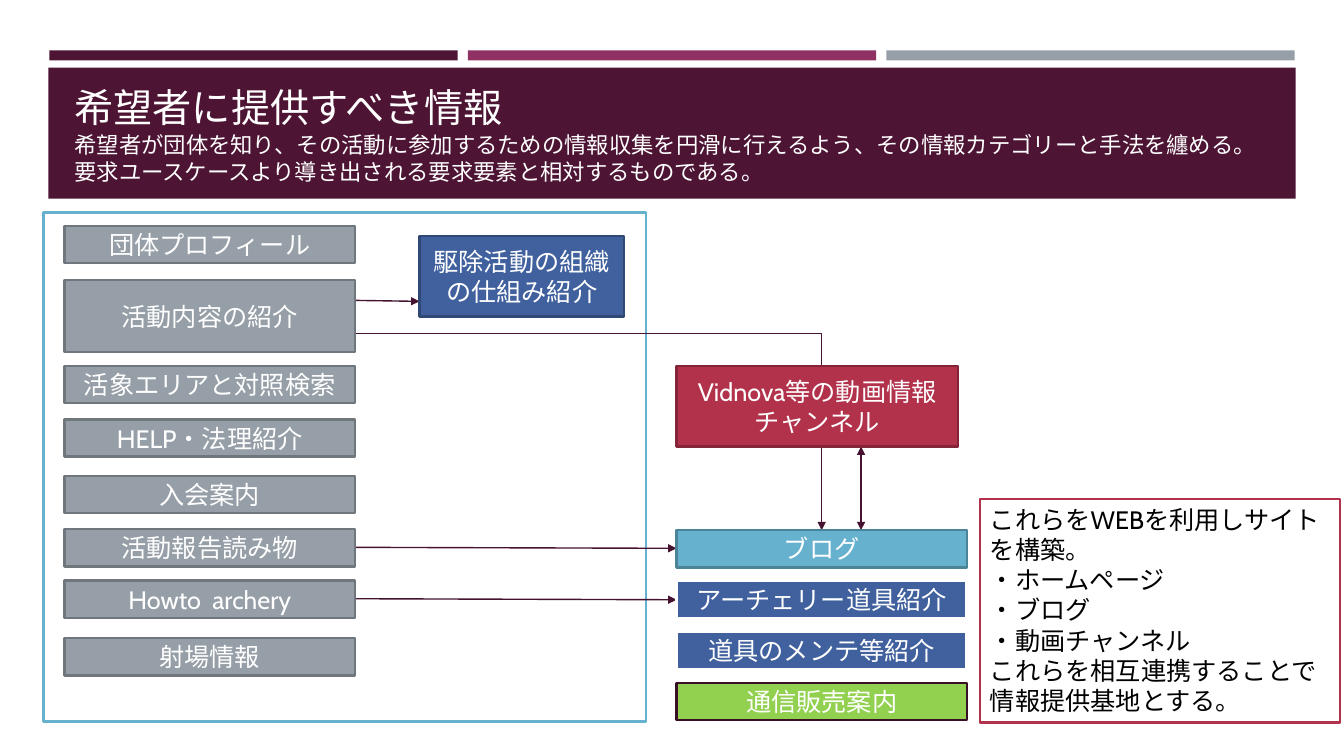
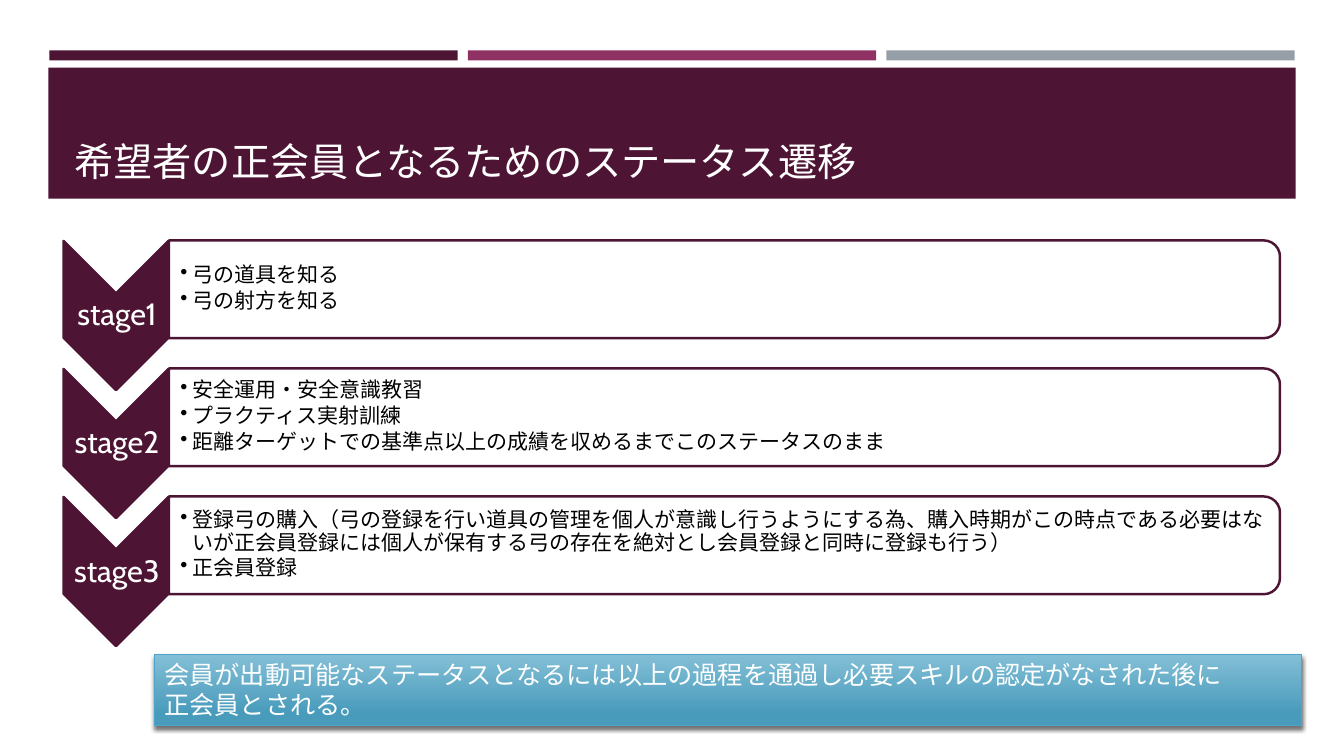
from lxml.etree import SubElement
from pptx import Presentation
from pptx.dml.color import RGBColor
from pptx.enum.shapes import MSO_CONNECTOR as CONNECTOR, MSO_SHAPE as SHAPE
from pptx.enum.text import MSO_ANCHOR as ANCHOR, PP_ALIGN as ALIGN
from pptx.oxml.ns import qn
from pptx.util import Inches, Pt

FONT = "Cabin"
COLORS = {
    "plum": "4D1434", "magenta": "903163", "gray": "969FA7", "gray_edge": "6F767C",
    "sky": "66B1CE", "sky_edge": "4B8398", "blue": "40619D", "blue_edge": "2F4874",
    "red": "B2324B", "red_edge": "842537", "green": "92D050", "green_edge": "390F26",
    "arrow": "45122F", "white": "FFFFFF", "black": "000000",
    "bar_top": "84BFD7", "bar_bottom": "489BBB", "bar_edge": "4FA5C7",
}
RGB = {name: RGBColor.from_string(value) for name, value in COLORS.items()}


def add_box(slide, place, fill=None, edge=None, width=1.75, kind=SHAPE.RECTANGLE):
    """Add a shape at (left, top, width, height) inches; no fill name means no fill."""
    shape = slide.shapes.add_shape(kind, *map(Inches, place))
    shape.shadow.inherit = False
    if fill:
        shape.fill.solid()
        shape.fill.fore_color.rgb = RGB[fill]
    else:
        shape.fill.background()
    if edge:
        shape.line.color.rgb = RGB[edge]
        shape.line.width = Pt(width)
    else:
        shape.line.fill.background()
    return shape


def write(shape, text, size=18, color="white", align=ALIGN.CENTER,
          anchor=ANCHOR.MIDDLE, spacing=None, insets=None):
    """Fill a shape with text in one style and return its text frame."""
    frame = shape.text_frame
    frame.text = text
    frame.word_wrap = True
    frame.vertical_anchor = anchor
    if insets:
        (frame.margin_left, frame.margin_top,
         frame.margin_right, frame.margin_bottom) = map(Inches, insets)
    for paragraph in frame.paragraphs:
        paragraph.alignment = align
        if spacing:
            paragraph.line_spacing = spacing
        for run in paragraph.runs:
            run.font.name = FONT
            run.font.size = Pt(size)
            run.font.color.rgb = RGB[color]
    return frame


presentation = Presentation()
presentation.slide_width = Inches(13.33)
presentation.slide_height = Inches(7.5)

# Shared header: three strips above a title band
titles = [
    "希望者に提供すべき情報\v希望者が団体を知り、その活動に参加するための情報収集を円滑に"
    "行えるよう、その情報カテゴリーと手法を纏める。"
    "要求ユースケースより導き出される要求要素と相対するものである。",
    "希望者の正会員となるためのステータス遷移",
]
slides = []
for title in titles:
    slide = presentation.slides.add_slide(presentation.slide_layouts[6])
    for column, color in enumerate(("plum", "magenta", "gray")):
        add_box(slide, (0.49 + 4.15 * column, 0.5, 4.05, 0.1), color)
    add_box(slide, (0.48, 0.67, 12.37, 1.3), "plum")
    title_box = slide.shapes.add_textbox(*map(Inches, (0.64, 0.77, 12.06, 1.11)))
    frame = write(title_box, title, 28, align=ALIGN.LEFT, anchor=ANCHOR.BOTTOM)
    for subtitle_run in frame.paragraphs[0].runs[1:]:
        subtitle_run.font.size = Pt(16)
    slides.append(slide)
information_slide, status_slide = slides

# Slide 1: information categories and their channels
LEFT, RIGHT, BOX_WIDTH, BOX_HEIGHT = 0.64, 6.71, 2.88, 0.37
add_box(information_slide, (0.43, 2.11, 5.98, 5.05), "white", "sky")

# start x, start y, end x, end y, arrow ends
arrows = [
    (3.52, 5.43, RIGHT, 5.44, ("tailEnd",)),
    (3.52, 5.94, RIGHT, 5.95, ("tailEnd",)),
    (3.52, 2.98, 4.16, 2.99, ("tailEnd",)),
    (8.54, 4.43, 8.54, 5.26, ("headEnd", "tailEnd")),
    (3.52, 3.31, 8.15, 5.26, ("tailEnd",)),
]
for *ends, heads in arrows:
    bent = ends[0] != ends[2] and ends[3] - ends[1] > 1
    connector = information_slide.shapes.add_connector(
        CONNECTOR.ELBOW if bent else CONNECTOR.STRAIGHT, *map(Inches, ends))
    connector.line.color.rgb = RGB["arrow"]
    connector.line.width = Pt(1)
    properties = connector.element.spPr
    if bent:
        properties.find(qn("a:prstGeom")).set("prst", "bentConnector2")
    for head in heads:
        SubElement(properties.find(qn("a:ln")), qn("a:" + head), type="triangle")
    SubElement(properties, qn("a:effectLst"))

categories = [
    ("団体プロフィール", 2.24), ("活動内容の紹介", 2.78), ("活象エリアと対照検索", 3.63),
    ("HELP・法理紹介", 4.16), ("入会案内", 4.72), ("活動報告読み物", 5.25),
    ("Howto  archery", 5.76), ("射場情報", 6.33),
]
for label, top in categories:
    height = 0.71 if label == "活動内容の紹介" else BOX_HEIGHT
    box = add_box(information_slide, (LEFT, top, BOX_WIDTH, height), "gray", "gray_edge",
                  kind=SHAPE.FLOWCHART_PROCESS)
    write(box, label)

channels = [
    ("ブログ", "sky", "sky_edge", 1.75),
    ("アーチェリー道具紹介", "blue", "white", 2),
    ("道具のメンテ等紹介", "blue", "white", 2),
    ("通信販売案内", "green", "green_edge", 1.75),
]
for row, (label, fill, edge, width) in enumerate(channels):
    place = (RIGHT, 5.26 + 0.505 * row, BOX_WIDTH, BOX_HEIGHT)
    write(add_box(information_slide, place, fill, edge, width, SHAPE.FLOWCHART_PROCESS), label)

for label, place, color in [
    ("Vidnova等の動画情報チャンネル", (RIGHT, 3.63, 2.79, 0.8), "red"),
    ("駆除活動の組織の仕組み紹介", (4.16, 2.34, 2.03, 0.8), "blue"),
]:
    box = add_box(information_slide, place, color, color + "_edge",
                  kind=SHAPE.FLOWCHART_PROCESS)
    write(box, label)

summary = add_box(information_slide, (9.72, 4.95, 3.57, 2.22), "white", "red")
write(summary, "これらをWEBを利用しサイトを構築。\n・ホームページ\n・ブログ\n・動画チャンネル\n"
      "これらを相互連携することで\n情報提供基地とする。",
      color="black", align=ALIGN.LEFT, anchor=ANCHOR.TOP)

# Slide 2: stages towards full membership
stages = [
    "弓の道具を知る\n弓の射方を知る",
    "安全運用・安全意識教習\nプラクティス実射訓練\n"
    "距離ターゲットでの基準点以上の成績を収めるまでこのステータスのまま",
    "登録弓の購入（弓の登録を行い道具の管理を個人が意識し行うようにする為、"
    "購入時期がこの時点である必要はないが正会員登録には個人が保有する弓の存在を"
    "絶対とし会員登録と同時に登録も行う）\n正会員登録",
]
for number, steps in enumerate(stages):
    top = 2.38 + 1.27 * number
    chevron = add_box(status_slide, (0.41, top + 0.23, 1.48, 1.04), "plum", "plum",
                      kind=SHAPE.CHEVRON)
    panel = add_box(status_slide, (6.7, top - 5.02, 0.97, 11.02), "white", "plum",
                    kind=SHAPE.ROUND_2_SAME_RECTANGLE)
    chevron.rotation = panel.rotation = 90

    label_box = status_slide.shapes.add_textbox(
        *map(Inches, (0.64, top + 0.53, 1.04, 0.45)))
    write(label_box, f"stage{number + 1}", 22, spacing=0.9, insets=[0.02] * 4)

    steps_box = status_slide.shapes.add_textbox(
        *map(Inches, (1.67, top + 0.05, 10.98, 0.87)))
    frame = write(steps_box, steps, 15, "black", ALIGN.LEFT, spacing=0.9,
                  insets=(0.12, 0.01, 0.01, 0.01))
    for paragraph in frame.paragraphs:
        paragraph.space_after = Pt(2.25)
        properties = paragraph._p.get_or_add_pPr()
        properties.set("marL", str(Inches(0.12)))
        properties.set("indent", str(-Inches(0.12)))
        SubElement(properties, qn("a:buChar"), char="•")

conclusion = add_box(status_slide, (1.53, 6.49, 11.38, 0.71), "sky", "bar_edge", 1)
conclusion.fill.gradient()
conclusion.fill.gradient_angle = 270
for stop, color, position in zip(conclusion.fill.gradient_stops,
                                 ("bar_top", "bar_bottom"), (0, 0.84)):
    stop.color.rgb = RGB[color]
    stop.position = position
effects = conclusion.element.spPr.find(qn("a:effectLst"))
shadow = SubElement(effects, qn("a:outerShdw"), blurRad=str(Pt(3)), dist=str(Pt(2)),
                    dir="5400000", rotWithShape="0")
shadow_color = SubElement(shadow, qn("a:srgbClr"), val=COLORS["black"])
SubElement(shadow_color, qn("a:alpha"), val="55000")
write(conclusion, "会員が出動可能なステータスとなるには以上の過程を通過し"
      "必要スキルの認定がなされた後に\n正会員とされる。", align=ALIGN.LEFT, anchor=ANCHOR.TOP)

presentation.save("out.pptx")
